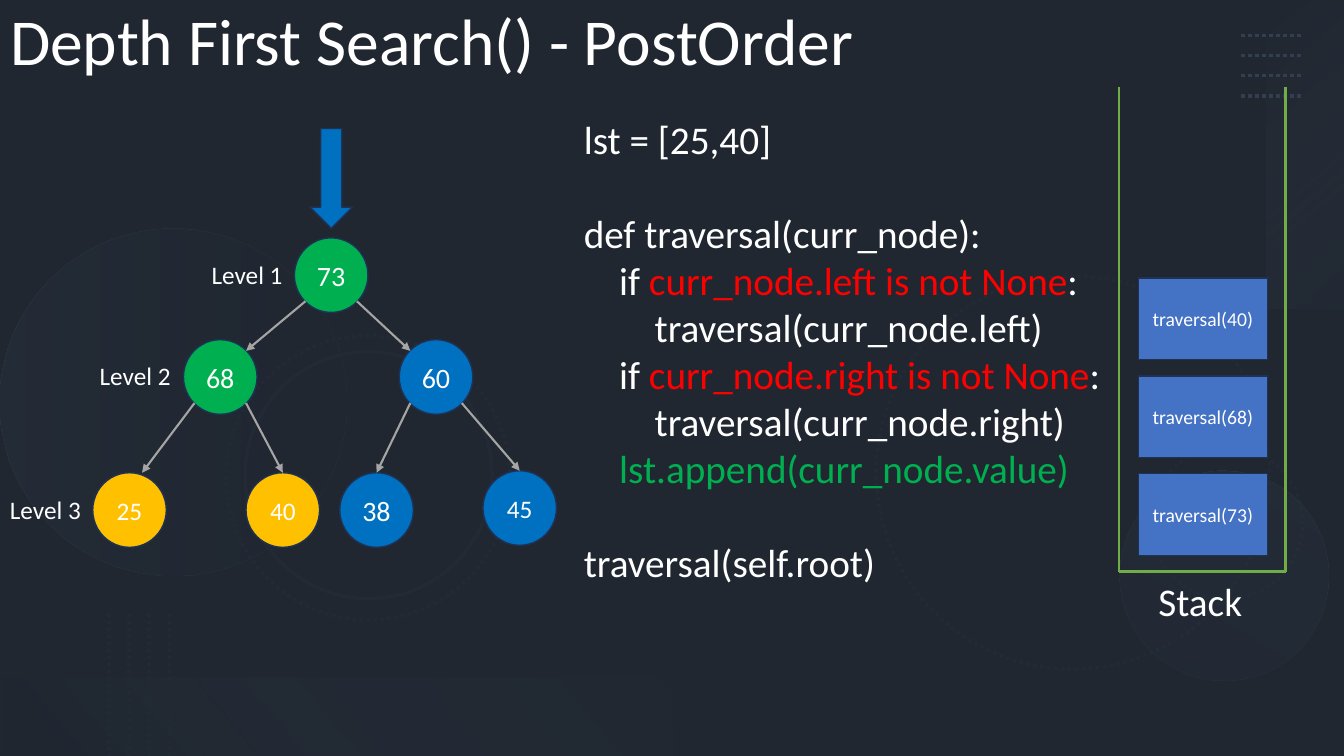
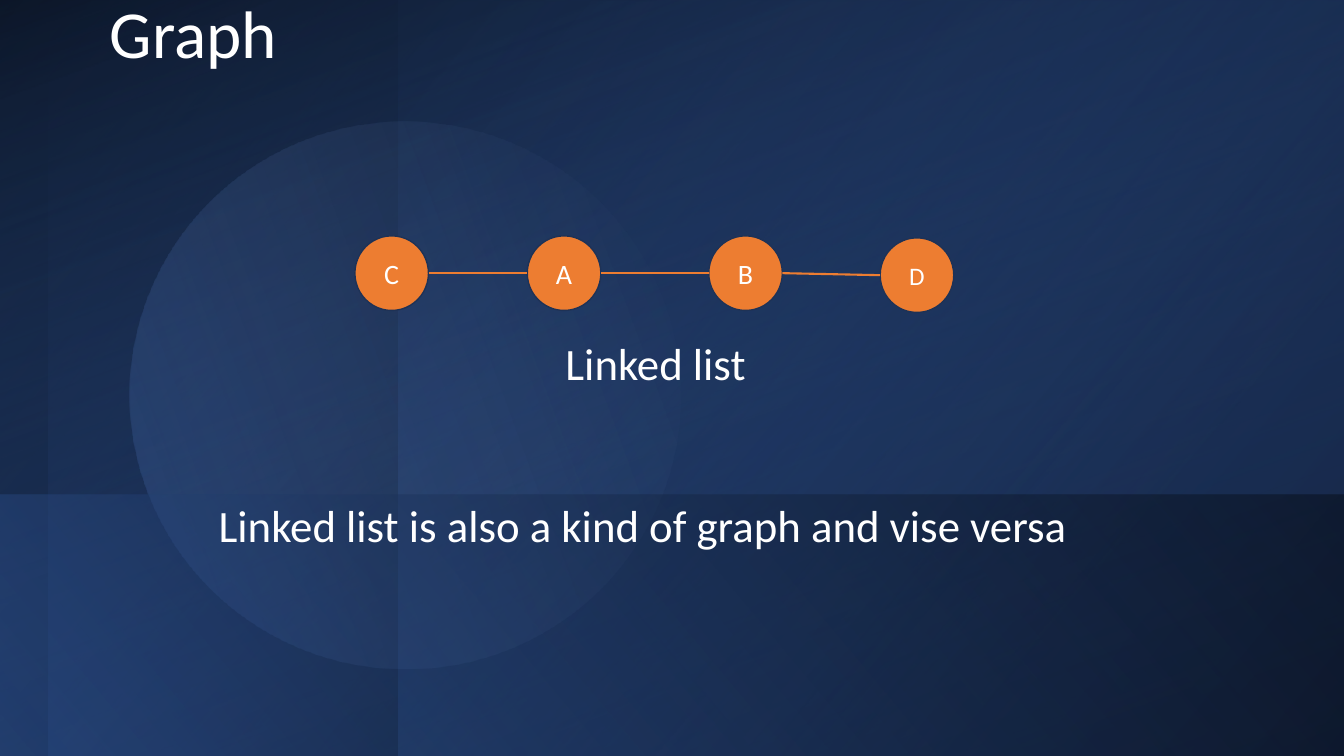
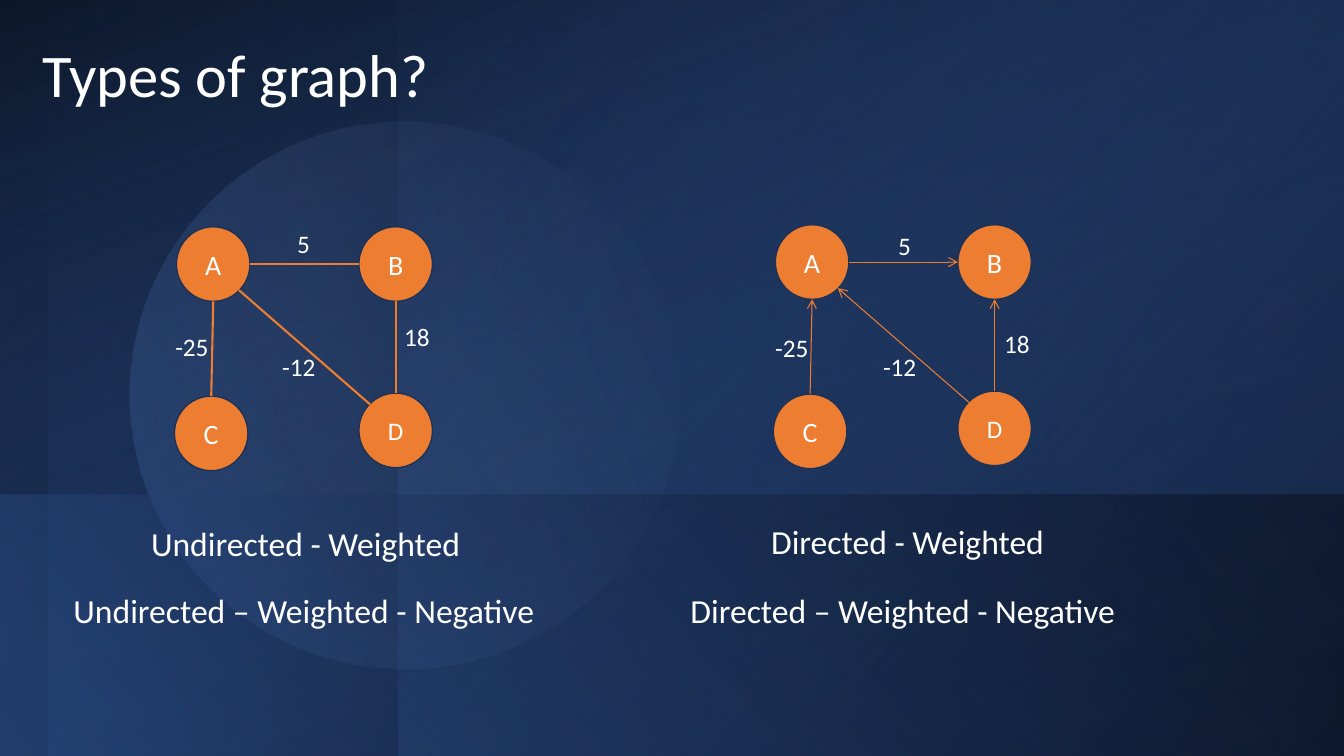
"""Builds three slides on tree traversal and kinds of graph."""
import dataclasses

import pptx
import pptx.dml.color
import pptx.enum.dml
import pptx.enum.shapes
import pptx.enum.text
import pptx.oxml
import pptx.oxml.ns
import pptx.util

Inches = pptx.util.Inches
Preset = pptx.enum.shapes.MSO_SHAPE
Align = pptx.enum.text.PP_ALIGN
Anchor = pptx.enum.text.MSO_ANCHOR
AutoSize = pptx.enum.text.MSO_AUTO_SIZE


@dataclasses.dataclass(frozen=True)
class Theme:
    """Colours, font and type sizes of the deck."""
    font: str = "Calibri"
    text: str = "FFFFFF"
    outline: str = "1E3256"
    done: str = "00B050"
    waiting: str = "0070C0"
    leaf: str = "FFC000"
    condition: str = "FF0000"
    call: str = "4472C4"
    stack: str = "70AD47"
    tree_edge: str = "A5A5A5"
    graph: str = "ED7D31"
    slate: str = "44546A"
    slate_dark: str = "333F50"
    slate_darker: str = "222A35"
    slate_light: str = "ADB9CA"
    slate_mid: str = "8497B0"
    black: str = "000000"
    navy: str = "203864"
    blue_dark: str = "2F5597"
    blue: str = "4472C4"
    blue_light: str = "8FAADC"
    statement_size: int = 32
    code_size: int = 28
    caption_size: int = 24
    node_size: int = 20
    label_size: int = 18
    call_size: int = 14
    code_gap: float = 33.6


THEME = Theme()


@dataclasses.dataclass(frozen=True)
class Decoration:
    """A background shape; stops are (position, colour, opacity)."""
    preset: Preset
    box: tuple
    rotation: float = 0
    stops: tuple = ()
    angle: int = 0
    line: str = ""
    dotted: bool = False
    flip: bool = False


SLIDE_WIDTH, SLIDE_HEIGHT = 13.33, 7.5
NODE_WIDTH, NODE_HEIGHT = 0.73, 0.74
DOT_LINE_WIDTH = 2.5
SITES = {
    "n": (0.5, 0), "s": (0.5, 1), "w": (0, 0.5), "e": (1, 0.5),
    "nw": (0.15, 0.15), "ne": (0.85, 0.15), "sw": (0.15, 0.85), "se": (0.85, 0.85),
    "nne": (0.67, 0),
}
RECT, OVAL = Preset.RECTANGLE, Preset.OVAL

SLATE_BACKDROP = [
    Decoration(RECT, (0, 0, SLIDE_WIDTH, SLIDE_HEIGHT), stops=((0, THEME.slate, 100),)),
    Decoration(RECT, (0, 0, SLIDE_WIDTH, SLIDE_HEIGHT), stops=((0, THEME.black, 53),)),
    Decoration(OVAL, (8.69, 2.74, 3.9, 3.9), 75, line=THEME.slate_darker, dotted=True),
    Decoration(OVAL, (11.41, 4.43, 1.51, 1.51), 270, line=THEME.slate_darker, dotted=True),
    Decoration(OVAL, (0, 2.27, 3.44, 3.44), 270,
               ((0, THEME.slate_dark, 20), (100, THEME.slate_darker, 10)), 90),
    Decoration(OVAL, (11.1, 4.67, 2.08, 2.08), 210,
               ((0, THEME.slate_dark, 10), (100, THEME.slate_dark, 20)), 90),
    Decoration(OVAL, (2.24, 3.33, 2.82, 2.82), 75, line=THEME.slate_darker, dotted=True),
    Decoration(OVAL, (2.43, 3.49, 2.45, 2.45), 75, line=THEME.slate_darker),
    Decoration(RECT, (11.42, 1.14, 3.06, 0.78), 270,
               ((0, THEME.slate_light, 0), (100, THEME.slate_dark, 10)), 140),
    Decoration(RECT, (0, 6.72, 6.67, 0.78), 180,
               ((10, THEME.slate_darker, 10), (100, THEME.slate_mid, 0)), 140),
]
BLUE_BACKDROP = [
    Decoration(RECT, (-0.01, 0, 13.37, 7.51), 180,
               ((0, THEME.black, 100), (100, THEME.blue_dark, 100)), 70),
    Decoration(RECT, (0.48, 0, 12.87, 7.51), 180,
               ((21, THEME.navy, 83), (100, THEME.blue, 0)), 140, flip=True),
    Decoration(RECT, (-0.02, 0, 3.96, 7.51), 180,
               ((0, THEME.blue_dark, 0), (99, THEME.black, 41)), 220),
    Decoration(RECT, (-0.02, 0, 13.38, 7.51), 0,
               ((3, THEME.blue_dark, 0), (100, THEME.black, 73)), 290, flip=True),
    Decoration(RECT, (4.9, -0.94, 7.5, 9.4), 90,
               ((3, THEME.blue_dark, 0), (100, THEME.black, 27)), 230, flip=True),
    Decoration(OVAL, (1.3, 1.19, 5.43, 5.46), 99.9,
               ((0, THEME.blue, 26), (85, THEME.blue_light, 0)), 240),
    Decoration(RECT, (0, 4.91, 13.36, 2.6), 0,
               ((0, THEME.blue_dark, 50), (99, THEME.black, 34)), 220, flip=True),
]

TREE_NODES = [
    ("73", 2.92, 2.36, THEME.done, THEME.node_size),
    ("68", 1.82, 3.37, THEME.done, THEME.node_size),
    ("60", 3.96, 3.37, THEME.waiting, THEME.node_size),
    ("25", 0.92, 4.69, THEME.leaf, THEME.label_size),
    ("40", 2.44, 4.69, THEME.leaf, THEME.label_size),
    ("38", 3.37, 4.69, THEME.waiting, THEME.node_size),
    ("45", 4.79, 4.67, THEME.waiting, THEME.label_size),
]
TREE_EDGES = [
    ("73", "sw", "68", "ne"), ("73", "se", "60", "nw"),
    ("68", "sw", "25", "nne"), ("68", "se", "40", "n"),
    ("60", "sw", "38", "n"), ("60", "se", "45", "n"),
]
LEVELS = [("Level 1", 2, 2.52), ("Level 2", 0.89, 3.53), ("Level 3", 0, 4.86)]
CODE = [
    (0, [("lst = [25,40]", THEME.text)]),
    (1, [("def traversal(curr_node):", THEME.text)]),
    (0, [("    if ", THEME.text), ("curr_node.left is not None", THEME.condition),
         (":", THEME.text)]),
    (0, [("        traversal(curr_node.left)", THEME.text)]),
    (0, [("    if ", THEME.text), ("curr_node.right is not None", THEME.condition),
         (":", THEME.text)]),
    (0, [("        traversal(curr_node.right)", THEME.text)]),
    (0, [("    lst.append(curr_node.value)", THEME.done)]),
    (1, [("traversal(self.root)", THEME.text)]),
]
STACK_CALLS = ["traversal(73)", "traversal(68)", "traversal(40)"]
STACK_LEFT, STACK_RIGHT, STACK_TOP, STACK_BOTTOM = 11.1, 12.75, 0.86, 5.67

LIST_NODES = [
    ("C", 3.52, 2.34, THEME.graph, THEME.node_size),
    ("A", 5.23, 2.34, THEME.graph, THEME.node_size),
    ("B", 7.03, 2.34, THEME.graph, THEME.node_size),
    ("D", 8.73, 2.36, THEME.graph, THEME.label_size),
]
LIST_EDGES = [("C", "e", "A", "w"), ("A", "e", "B", "w"), ("B", "e", "D", "w")]
LIST_TEXTS = [
    ("Linked list", (5.51, 3.28, 2.16, 0.64)),
    ("Linked list is also a kind of graph and vise versa", (2.07, 4.89, 9.21, 0.64)),
]

GRAPH_NODES = [
    ("A", 1.75, 2.25, THEME.graph, THEME.node_size),
    ("B", 3.56, 2.25, THEME.graph, THEME.node_size),
    ("C", 1.73, 3.93, THEME.graph, THEME.node_size),
    ("D", 3.56, 3.9, THEME.graph, THEME.label_size),
]
GRAPH_EDGES = [
    ("A", "e", "B", "w"), ("D", "n", "B", "s"),
    ("C", "n", "A", "s"), ("D", "nw", "A", "se"),
]
GRAPHS = [
    {
        "offset": (0, 0), "width": 1.5, "arrow": "",
        "weights": [("5", (2.85, 2.22, 0.33, 0.4)), ("18", (3.91, 3.14, 0.46, 0.4)),
                    ("-25", (1.64, 3.24, 0.54, 0.4)), ("-12", (2.7, 3.44, 0.54, 0.4))],
        "captions": [("Undirected - Weighted", (1.4, 5.14, 3.3, 0.5)),
                     ("Undirected – Weighted - Negative", (0.63, 5.8, 4.82, 0.5))],
    },
    {
        "offset": (5.94, -0.02), "width": 0.75, "arrow": "arrow",
        "weights": [("5", (8.81, 2.24, 0.33, 0.4)), ("18", (9.86, 3.21, 0.46, 0.4)),
                    ("-25", (7.59, 3.25, 0.54, 0.4)), ("-12", (8.66, 3.44, 0.54, 0.4))],
        "captions": [("Directed - Weighted", (7.55, 5.12, 2.94, 0.5)),
                     ("Directed – Weighted - Negative", (6.75, 5.8, 4.46, 0.5))],
    },
]


def rgb(colour):
    return pptx.dml.color.RGBColor.from_string(colour)


def style_font(font, size, colour=THEME.text):
    font.name = THEME.font
    font.size = pptx.util.Pt(size)
    font.color.rgb = rgb(colour)


def style_line(line, colour, width, dotted=False):
    line.color.rgb = rgb(colour)
    line.width = pptx.util.Pt(width)
    if dotted:
        line.dash_style = pptx.enum.dml.MSO_LINE.ROUND_DOT


def add_plain_shape(slide, preset, box, rotation=0):
    shape = slide.shapes.add_shape(preset, *map(Inches, box))
    shape.rotation = rotation
    shape.shadow.inherit = False
    return shape


def add_filled_shape(slide, preset, box, colour, text="", size=THEME.node_size, rotation=0):
    shape = add_plain_shape(slide, preset, box, rotation)
    shape.fill.solid()
    shape.fill.fore_color.rgb = rgb(colour)
    style_line(shape.line, THEME.outline, 1)
    if text:
        frame = shape.text_frame
        frame.text = text
        frame.vertical_anchor = Anchor.MIDDLE
        frame.paragraphs[0].alignment = Align.CENTER
        style_font(frame.paragraphs[0].runs[0].font, size)
    return shape


def fill_element(stops, angle):
    namespace = pptx.oxml.ns.nsdecls("a")
    colours = [
        f'<a:srgbClr {namespace} val="{colour}"><a:alpha val="{opacity * 1000}"/></a:srgbClr>'
        for _, colour, opacity in stops
    ]
    if len(stops) == 1:
        return pptx.oxml.parse_xml(f"<a:solidFill {namespace}>{colours[0]}</a:solidFill>")
    steps = "".join(
        f'<a:gs pos="{stop[0] * 1000}">{colour}</a:gs>' for stop, colour in zip(stops, colours)
    )
    return pptx.oxml.parse_xml(
        f'<a:gradFill {namespace} rotWithShape="1"><a:gsLst>{steps}</a:gsLst>'
        f'<a:lin ang="{angle * 60000}" scaled="0"/></a:gradFill>'
    )


def add_backdrop(slide, decorations):
    for decoration in decorations:
        shape = add_plain_shape(slide, decoration.preset, decoration.box, decoration.rotation)
        properties = shape._element.spPr
        shape.fill.background()
        if decoration.stops:
            empty_fill = properties.find(pptx.oxml.ns.qn("a:noFill"))
            properties.replace(empty_fill, fill_element(decoration.stops, decoration.angle))
        if decoration.line:
            style_line(shape.line, decoration.line, DOT_LINE_WIDTH, decoration.dotted)
        else:
            shape.line.fill.background()
        if decoration.flip:
            properties.find(pptx.oxml.ns.qn("a:xfrm")).set("flipH", "1")


def add_line(slide, start, end, colour, width, arrow="", dotted=False):
    connector = slide.shapes.add_connector(
        pptx.enum.shapes.MSO_CONNECTOR.STRAIGHT, *map(Inches, (*start, *end)))
    style_line(connector.line, colour, width, dotted)
    properties = connector._element.spPr
    if arrow:
        line = properties.find(pptx.oxml.ns.qn("a:ln"))
        line.append(pptx.oxml.parse_xml(
            f'<a:tailEnd {pptx.oxml.ns.nsdecls("a")} type="{arrow}"/>'))
    properties.append(pptx.oxml.parse_xml(f'<a:effectLst {pptx.oxml.ns.nsdecls("a")}/>'))


def add_label(slide, text, box, size, wrap=False):
    frame = slide.shapes.add_textbox(*map(Inches, box)).text_frame
    frame.word_wrap = wrap
    frame.auto_size = AutoSize.SHAPE_TO_FIT_TEXT
    frame.text = text
    style_font(frame.paragraphs[0].runs[0].font, size)


def add_network(slide, nodes, edges, colour, width, arrow="", offset=(0, 0)):
    corners = {}
    for text, left, top, fill, size in nodes:
        corners[text] = (left + offset[0], top + offset[1])
        add_filled_shape(slide, OVAL, (*corners[text], NODE_WIDTH, NODE_HEIGHT), fill, text, size)

    def site_point(node, site):
        across, down = SITES[site]
        left, top = corners[node]
        return left + across * NODE_WIDTH, top + down * NODE_HEIGHT

    for source, source_site, target, target_site in edges:
        add_line(slide, site_point(source, source_site), site_point(target, target_site),
                 colour, width, arrow)


def add_slide(presentation, title, box, size, spacing, backdrop):
    slide = presentation.slides.add_slide(presentation.slide_layouts[5])
    add_backdrop(slide, backdrop)
    shape = slide.shapes.title
    slide.shapes._spTree.append(shape._element)
    shape.left, shape.top, shape.width, shape.height = map(Inches, box)
    frame = shape.text_frame
    frame.text = title
    frame.word_wrap = True
    frame.auto_size = AutoSize.NONE
    frame.vertical_anchor = Anchor.BOTTOM
    paragraph = frame.paragraphs[0]
    paragraph.alignment = Align.LEFT
    paragraph.line_spacing = spacing
    style_font(paragraph.runs[0].font, size)
    return slide


def add_code(slide):
    frame = slide.shapes.add_textbox(*map(Inches, (4.99, 1.09, 6.09, 4.81))).text_frame
    frame.word_wrap = True
    frame.margin_left = Inches(0.8)
    for index, (blank_lines, pieces) in enumerate(CODE):
        paragraph = frame.add_paragraph() if index else frame.paragraphs[0]
        if blank_lines:
            paragraph.space_before = pptx.util.Pt(blank_lines * THEME.code_gap)
        for text, colour in pieces:
            run = paragraph.add_run()
            run.text = text
            style_font(run.font, THEME.code_size, colour)


def add_stack(slide):
    corners = [(STACK_LEFT, STACK_TOP), (STACK_LEFT, STACK_BOTTOM),
               (STACK_RIGHT, STACK_BOTTOM), (STACK_RIGHT, STACK_TOP)]
    for start, end in zip(corners, corners[1:]):
        add_line(slide, start, end, THEME.stack, 1.5)
    add_label(slide, "Stack", (11.39, 5.68, 1.07, 0.57), THEME.code_size, wrap=True)
    for index, call in enumerate(STACK_CALLS):
        add_filled_shape(slide, RECT, (11.29, 4.7 - 0.97 * index, 1.28, 0.81),
                         THEME.call, call, THEME.call_size)


def build_traversal_slide(presentation):
    slide = add_slide(presentation, "Depth First Search() - PostOrder",
                      (0, 0.05, 8.91, 0.77), 46.8, 0.8, SLATE_BACKDROP)
    for index in range(4):
        top, left = 0.35 + 0.2 * index, 1.08 + 0.2 * index
        add_line(slide, (12.31, top), (12.91, top), THEME.slate_dark, DOT_LINE_WIDTH, dotted=True)
        add_line(slide, (left, 6.09), (left, SLIDE_HEIGHT), THEME.slate_darker,
                 DOT_LINE_WIDTH, dotted=True)
    add_filled_shape(slide, Preset.RIGHT_ARROW, (2.79, 1.56, 0.99, 0.42),
                     THEME.waiting, rotation=90)
    add_network(slide, TREE_NODES, TREE_EDGES, THEME.tree_edge, 1.5, "triangle")
    for text, left, top in LEVELS:
        add_label(slide, text, (left, top, 0.92, 0.4), THEME.label_size)
    add_code(slide)
    add_stack(slide)


def build_linked_list_slide(presentation):
    slide = add_slide(presentation, "Graph", (0.99, 0, 1.95, 0.77), 48, 0.9, BLUE_BACKDROP)
    add_network(slide, LIST_NODES, LIST_EDGES, THEME.graph, 1.5)
    for text, box in LIST_TEXTS:
        add_label(slide, text, box, THEME.statement_size, wrap=True)


def build_graph_types_slide(presentation):
    slide = add_slide(presentation, "Types of graph?", (0.32, 0.41, 4.12, 0.74),
                      43.2, 0.9, BLUE_BACKDROP)
    for graph in GRAPHS:
        add_network(slide, GRAPH_NODES, GRAPH_EDGES, THEME.graph,
                    graph["width"], graph["arrow"], graph["offset"])
        for text, box in graph["weights"]:
            add_label(slide, text, box, THEME.label_size)
        for text, box in graph["captions"]:
            add_label(slide, text, box, THEME.caption_size)


def main():
    presentation = pptx.Presentation()
    presentation.slide_width = Inches(SLIDE_WIDTH)
    presentation.slide_height = Inches(SLIDE_HEIGHT)
    build_traversal_slide(presentation)
    build_linked_list_slide(presentation)
    build_graph_types_slide(presentation)
    presentation.save("out.pptx")


if __name__ == "__main__":
    main()
